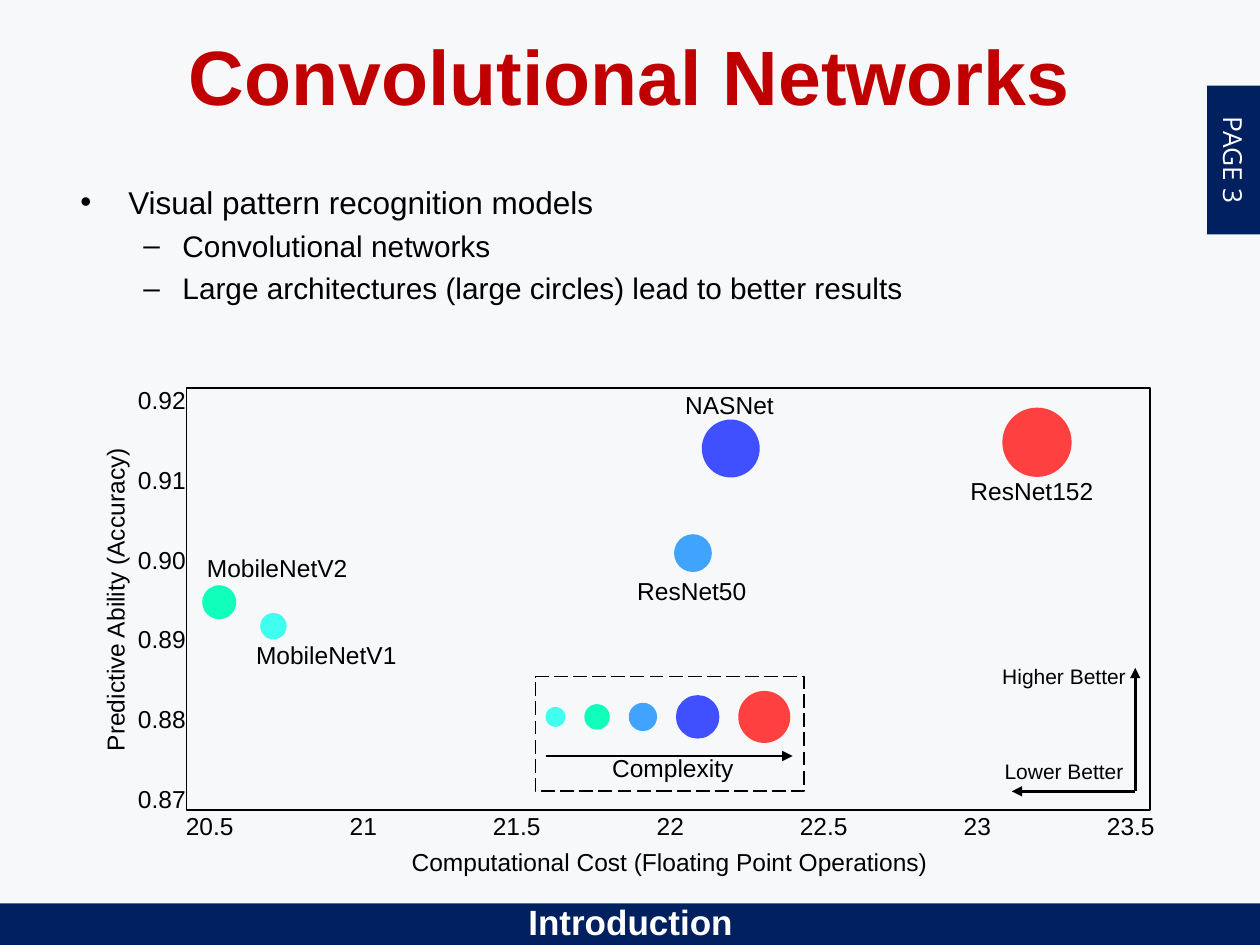
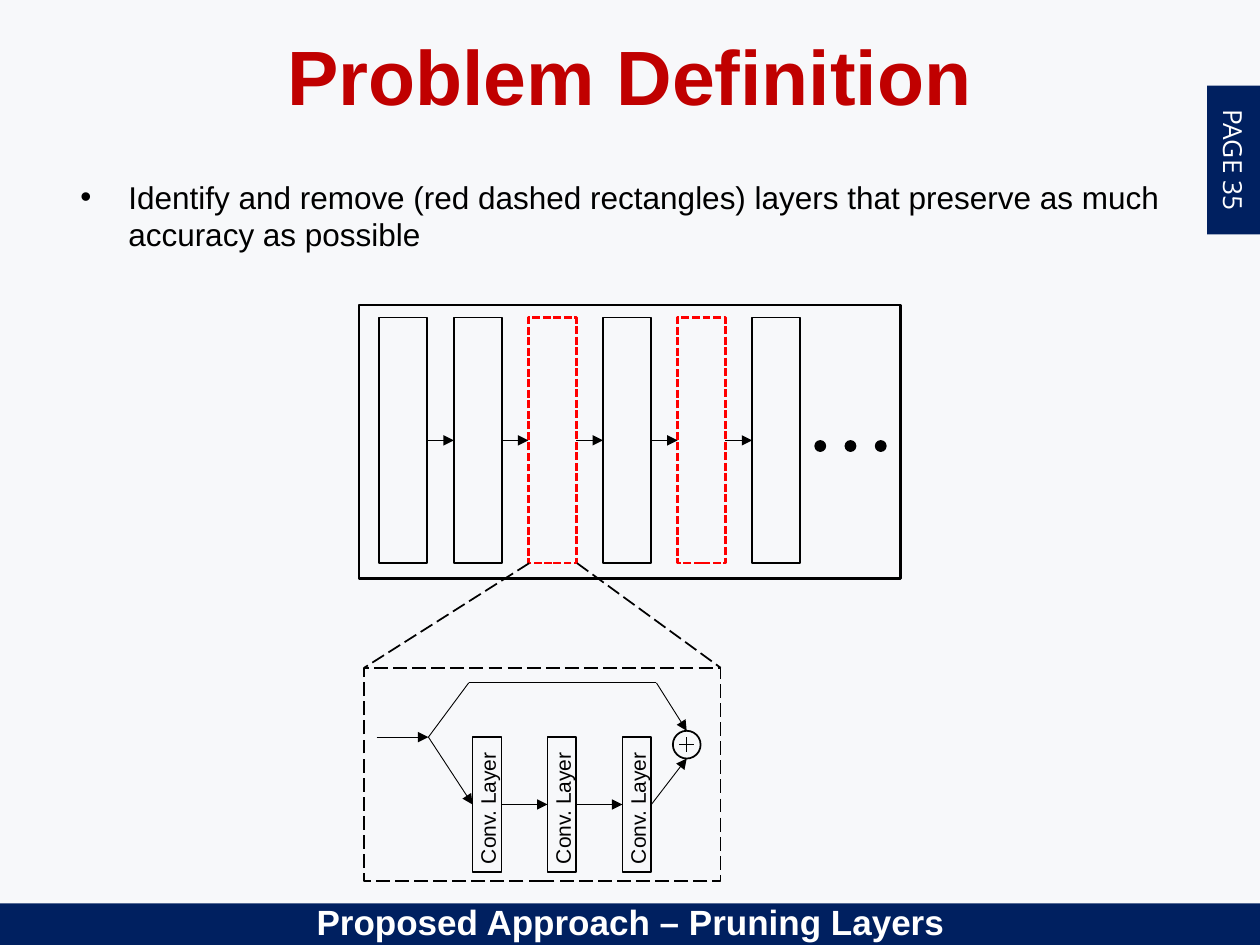
from lxml import etree
from pptx import Presentation
from pptx.dml.color import RGBColor
from pptx.enum.dml import MSO_LINE
from pptx.enum.shapes import MSO_CONNECTOR, MSO_SHAPE
from pptx.enum.text import MSO_ANCHOR, PP_ALIGN
from pptx.oxml.ns import qn
from pptx.util import Inches, Pt

RECT, OVAL = MSO_SHAPE.RECTANGLE, MSO_SHAPE.OVAL
STRAIGHT = MSO_CONNECTOR.STRAIGHT
LONG, SHORT = MSO_LINE.LONG_DASH, MSO_LINE.SQUARE_DOT
LEFT, CENTER = PP_ALIGN.LEFT, PP_ALIGN.CENTER
TOP, MIDDLE = MSO_ANCHOR.TOP, MSO_ANCHOR.MIDDLE
COLORS = {
    "paper": "F7F8FA", "navy": "002060", "title": "C00000",
    "black": "000000", "white": "FFFFFF", "red": "FF0000",
    "cyan": "40FFEF", "green": "10FFBB", "sky": "40A4FF",
    "blue": "4050FF", "coral": "FF4040",
}
# Bullet sign, left indent, hanging indent and text size of each level
LEVELS = [("•", 0.38, 0.38, 18), ("–", 0.81, 0.31, 17)]

# Models by complexity: name, color, diameter, center and label center
MODELS = [
    ("MobileNetV1", "cyan", 0.21, (0.69, 1.89), (1.11, 2.13)),
    ("MobileNetV2", "green", 0.27, (0.26, 1.7), (0.72, 1.44)),
    ("ResNet50", "sky", 0.3, (4.02, 1.31), (4.01, 1.62)),
    ("NASNet", "blue", 0.46, (4.32, 0.48), (4.31, 0.15)),
    ("ResNet152", "coral", 0.55, (6.75, 0.43), (6.71, 0.83)),
]


def tint(name):
    return RGBColor.from_string(COLORS[name])


def shape(slide, kind, box, fill=None, line=None, width=1, dash=None, turn=0):
    item = slide.shapes.add_shape(kind, *map(Inches, box))
    item.shadow.inherit = False
    item.rotation = turn
    if fill:
        item.fill.solid()
        item.fill.fore_color.rgb = tint(fill)
    else:
        item.fill.background()
    if line:
        item.line.color.rgb = tint(line)
        item.line.width = Pt(width)
        item.line.dash_style = dash
    else:
        item.line.fill.background()
    return item


def disc(slide, mid, size, **style):
    x, y = mid
    return shape(slide, OVAL, (x - size / 2, y - size / 2, size, size), **style)


def write(slide, text, box, size=14, color="black", bold=False, face="Arial",
          align=CENTER, anchor=TOP, fill=None, turn=0, side=0, levels=None):
    item = slide.shapes.add_textbox(*map(Inches, box))
    item.rotation = turn
    if fill:
        item.fill.solid()
        item.fill.fore_color.rgb = tint(fill)
    frame = item.text_frame
    frame.word_wrap = True
    frame.vertical_anchor = anchor
    frame.margin_left = frame.margin_right = Inches(side)
    for i, words in enumerate(text.split("\n")):
        para = frame.add_paragraph() if i else frame.paragraphs[0]
        para.alignment = align
        if i:
            para.space_before = Pt(4)
        if levels:
            size = bullet(para, levels[i])
        run = para.add_run()
        run.text = words
        run.font.size = Pt(size)
        run.font.name = face
        run.font.bold = bold
        run.font.color.rgb = tint(color)
    return item


def bullet(para, level):
    sign, left, hang, size = LEVELS[level]
    para.level = level
    props = para._p.get_or_add_pPr()
    props.set("marL", str(Inches(left)))
    props.set("indent", str(-Inches(hang)))
    etree.SubElement(props, qn("a:buFont")).set("typeface", "Arial")
    etree.SubElement(props, qn("a:buChar")).set("char", sign)
    return size


def link(slide, start, end, width=0.5, head=True, dash=None, tie=None, to=None):
    """Draw a line; tie and to are the (shape, side) joined at its ends."""
    wire = slide.shapes.add_connector(STRAIGHT, *map(Inches, (*start, *end)))
    wire.line.color.rgb = tint("black")
    wire.line.width = Pt(width)
    wire.line.dash_style = dash
    if head:
        tail = etree.SubElement(wire.line._get_or_add_ln(), qn("a:tailEnd"))
        tail.set("type", "triangle")
    etree.SubElement(wire._element.spPr, qn("a:effectLst"))
    if tie:
        wire.begin_connect(*tie)
    if to:
        wire.end_connect(*to)


def chain(slide, parts):
    # Arrows from each box to the next
    for one, two in zip(parts, parts[1:]):
        link(slide, (0, 0), (0, 0), tie=(one, 3), to=(two, 1))


def base(deck, title, part, page):
    slide = deck.slides.add_slide(deck.slide_layouts[6])
    slide.background.fill.solid()
    slide.background.fill.fore_color.rgb = tint("paper")
    # Footer band and page tab
    shape(slide, RECT, (0, 7.17, 10, 0.34), fill="navy")
    write(slide, part, (1.94, 7.1, 6.13, 0.36), size=20, color="white", bold=True)
    write(slide, f"PAGE {page}", (9.2, 1.06, 1.18, 0.42), size=15, color="white",
          face="Open Sans", anchor=MIDDLE, fill="navy", turn=90)
    # Title
    write(slide, title, (0.5, 0.12, 9, 0.94), size=44, color="title", bold=True,
          anchor=MIDDLE)
    return slide


def points(slide, text, box, levels):
    write(slide, text, box, align=LEFT, side=0.1, levels=levels)


def plot(slide, box):
    x, y, w, h = box
    # Axis values and names
    for i in range(6):
        write(slide, f"{0.92 - i / 100:.2f}",
              (x - 0.51, y - 0.07 + i * 3.16 / 5, 0.63, 0.36), fill="paper")
    for i in range(7):
        write(slide, f"{20.5 + i / 2:g}",
              (x - 0.15 + i * 7.31 / 6, y + h - 0.04, 0.67, 0.36))
    write(slide, "Computational Cost (Floating Point Operations)",
          (x + 1.44, y + h + 0.24, 4.79, 0.36))
    write(slide, "Predictive Ability (Accuracy)", (x - 1.99, y + 1.5, 2.87, 0.36),
          turn=270)
    # Models
    for name, color, size, (dx, dy), (tx, ty) in MODELS:
        write(slide, name, (x + tx - 0.66, y + ty - 0.18, 1.32, 0.36))
        disc(slide, (x + dx, y + dy), size, fill=color)
    shape(slide, RECT, box, line="black")
    legend(slide, (x + 2.77, y + 2.29, 2.13, 0.91))
    better(slide, (x + 6.37, y + 2.14, 1.19, 1.11))


def legend(slide, box):
    x, y, w, h = box
    shape(slide, RECT, box, line="black", dash=LONG)
    left = x + 0.08
    for _, color, size, *_ in MODELS:
        size *= 0.75
        disc(slide, (left + size / 2, y + 0.32), size, fill=color)
        left += size + 0.15
    write(slide, "Complexity", (x + 0.43, y + 0.56, 1.32, 0.36))
    link(slide, (x + 0.08, y + 0.63), (x + w - 0.09, y + 0.63), width=1.5)


def better(slide, box):
    x, y, w, h = box
    for i, word in enumerate(("Higher", "Lower")):
        write(slide, f"{word} Better", (x, y + i * 0.75, w, 0.36), size=12,
              fill="paper")
    corner = (x + 1.16, y + 1.06)
    link(slide, corner, (x + 0.18, y + 1.06), width=1.5)
    link(slide, corner, (x + 1.16, y + 0.08), width=1.5)


def layers(slide, box):
    x, y, w, h = box
    shape(slide, RECT, box, line="black", width=1.5)
    row = []
    for i in range(6):
        cut = i in (2, 4)
        row.append(shape(
            slide, RECT, (x + 0.16 + i * 2.96 / 5, y + 0.1, 0.38, 1.95),
            line="red" if cut else "black", width=1.5 if cut else 1,
            dash=SHORT if cut else None))
    chain(slide, row)
    # More layers follow
    for i in range(3):
        disc(slide, (x + 3.66 + i * 0.24, y + 1.12), 0.08, fill="black", line="black")


def block(slide, box, source):
    x, y, w, h = box
    shape(slide, RECT, box, line="black", dash=LONG)
    # Zoom lines from the removed layer
    left, right, low = source
    link(slide, (left, low), (x, y), width=1, head=False, dash=LONG)
    link(slide, (right, low), (x + w, y), width=1, head=False, dash=LONG)
    # Convolution layers
    convs = []
    for i in range(3):
        dx = x + 0.86 + i * 1.19 / 2
        convs.append(shape(slide, RECT, (dx, y + 0.55, 0.23, 1.07), line="black"))
        write(slide, "Conv. Layer", (dx - 0.52, y + 1.01, 1.19, 0.21), size=12,
              turn=270)
    chain(slide, convs)
    # Sum
    sx, sy = x + 2.56, y + 0.61
    disc(slide, (sx, sy), 0.22, line="black")
    link(slide, (sx, sy - 0.06), (sx, sy + 0.06), head=False)
    link(slide, (sx - 0.06, sy), (sx + 0.06, sy), head=False)
    # Input, shortcut and layer paths
    fork = (x + 0.51, y + 0.55)
    rise, fall = (x + 0.83, y + 0.12), (x + 2.32, y + 0.12)
    link(slide, (x + 0.1, y + 0.55), fork)
    link(slide, fork, rise, head=False)
    link(slide, rise, fall, head=False)
    link(slide, fall, (sx, sy - 0.11))
    link(slide, fork, fork, to=(convs[0], 1))
    link(slide, (sx, sy), (sx, sy + 0.11), tie=(convs[-1], 3))


def main():
    deck = Presentation()
    deck.slide_width, deck.slide_height = Inches(10), Inches(7.5)

    slide = base(deck, "Convolutional Networks", "Introduction", 3)
    points(slide, "Visual pattern recognition models\nConvolutional networks\n"
           "Large architectures (large circles) lead to better results",
           (0.54, 1.4, 8.96, 1.4), [0, 1, 1])
    plot(slide, (1.48, 3.08, 7.65, 3.35))

    slide = base(deck, "Problem Definition", "Proposed Approach – Pruning Layers", 35)
    points(slide, "Identify and remove (red dashed rectangles) layers that preserve "
           "as much accuracy as possible", (0.54, 1.36, 8.96, 0.95), [0])
    layers(slide, (2.85, 2.42, 4.3, 2.17))
    block(slide, (2.89, 5.3, 2.83, 1.69), (4.2, 4.58, 4.47))

    deck.save("out.pptx")


if __name__ == "__main__":
    main()
